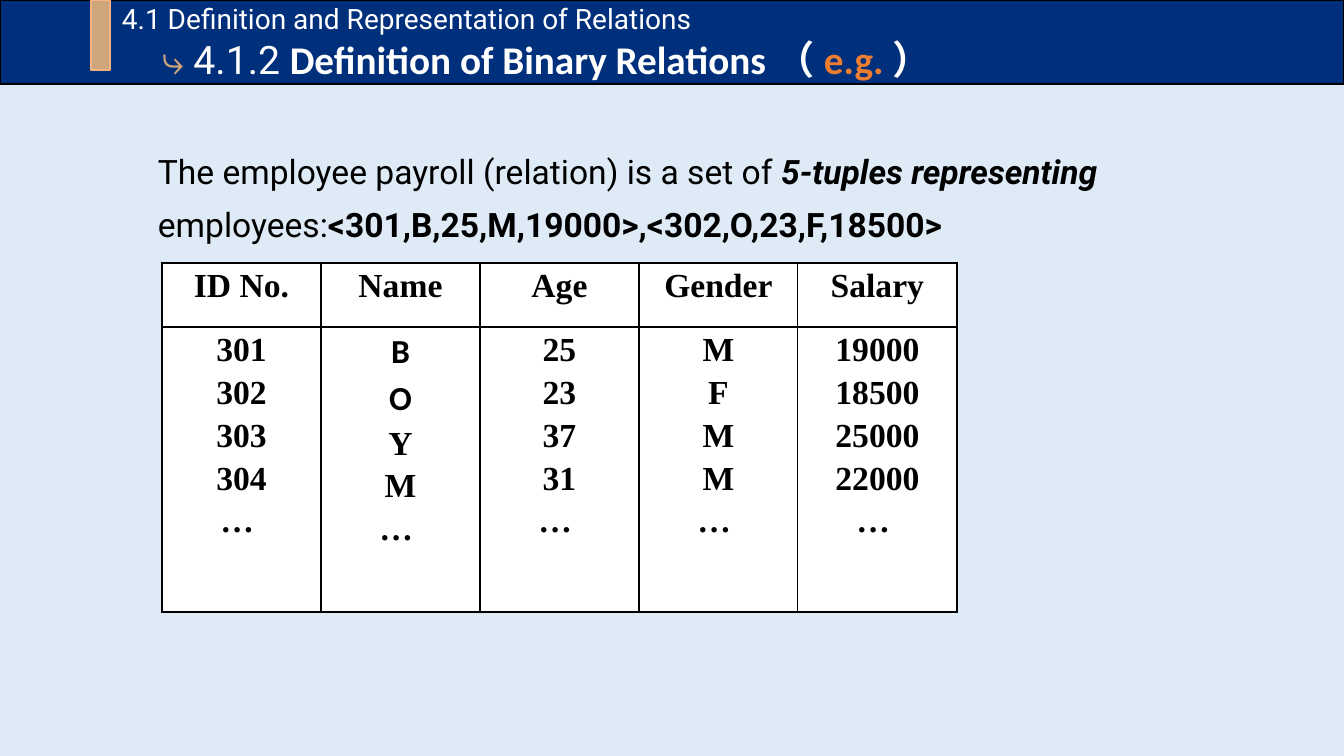
from pptx import Presentation
from pptx.dml.color import RGBColor
from pptx.enum.shapes import MSO_SHAPE
from pptx.enum.text import MSO_ANCHOR, PP_ALIGN
from pptx.oxml import parse_xml
from pptx.oxml.ns import nsdecls
from pptx.util import Pt
from dataclasses import dataclass


@dataclass(frozen=True)
class Theme:
    back: str = "DEEBF7"
    navy: str = "002F7C"
    tan: str = "CFA57C"
    peach: str = "F4B183"
    orange: str = "ED7D31"
    white: str = "FFFFFF"
    black: str = "000000"
    sans: str = "Roboto"
    bold: str = "Calibri"
    serif: str = "Times New Roman"
    small: int = 20
    body: int = 24
    title: int = 28


theme = Theme()
PX = 914400 / 100.8


def px(*vals):
    return [round(v * PX) for v in vals]


def style(font, name, size, color, bold=False, italic=False):
    font.name, font.size = name, Pt(size)
    font.bold, font.italic = bold, italic
    font.color.rgb = RGBColor.from_string(color)


deck = Presentation()
deck.slide_width, deck.slide_height = px(1344, 756)
slide = deck.slides.add_slide(deck.slide_layouts[6])
slide.background.fill.solid()
slide.background.fill.fore_color.rgb = RGBColor.from_string(theme.back)

# Header bar and accent
bars = []
for box, fill, line in [
    ((0, 0, 1344, 84), theme.navy, theme.black),
    ((91, 0, 19, 70), theme.tan, theme.peach),
]:
    bar = slide.shapes.add_shape(MSO_SHAPE.RECTANGLE, *px(*box))
    bar.shadow.inherit = False
    bar.fill.solid()
    bar.fill.fore_color.rgb = RGBColor.from_string(fill)
    bar.line.color.rgb = RGBColor.from_string(line)
    bar.line.width = Pt(1)
    bars.append(bar)

frame = bars[0].text_frame
frame.word_wrap = True
frame.vertical_anchor = MSO_ANCHOR.MIDDLE
head, title = frame.paragraphs[0], frame.add_paragraph()
for para, left in [(head, 112), (title, 152)]:
    para.alignment = PP_ALIGN.LEFT
    para._p.get_or_add_pPr().set("marL", str(px(left)[0]))
head.text = "4.1 Definition and Representation of Relations"
style(head.font, theme.sans, theme.small, theme.white)
for text, name, color, bold in [
    ("⤷ ", theme.sans, theme.tan, False),
    ("4.1.2 ", theme.sans, theme.white, False),
    ("Definition of Binary Relations（", theme.bold, theme.white, True),
    ("e.g.", theme.bold, theme.orange, True),
    ("）", theme.bold, theme.white, True),
]:
    run = title.add_run()
    run.text = text
    style(run.font, name, theme.title, color, bold)

# Introduction
frame = slide.shapes.add_textbox(*px(148, 138, 1024, 112)).text_frame
frame.word_wrap = True
intro = [
    ("The employee payroll (relation) is a set of ", "5-tuples representing", True),
    ("employees:", "<301,B,25,M,19000>,<302,O,23,F,18500>", False),
]
for i, (plain, strong, italic) in enumerate(intro):
    para = frame.add_paragraph() if i else frame.paragraphs[0]
    para.line_spacing = 1.2
    if i:
        para.space_before = Pt(3)
    for text, bold in [(plain, False), (strong, True)]:
        run = para.add_run()
        run.text = text
        style(run.font, theme.sans, theme.body, theme.black, bold, bold and italic)

# Payroll table
payroll = {
    "ID No.": ["301", "302", "303", "304", "… "],
    "Name": ["B", "O", "Y", "M", "… "],
    "Age": ["25", "23", "37", "31", "… "],
    "Gender": ["M", "F", "M", "M", "… "],
    "Salary": ["19000", "18500", "25000", "22000", "… "],
}
table = slide.shapes.add_table(2, 5, *px(162, 263, 795, 349)).table
table.first_row = table.horz_banding = False
table.rows[0].height, table.rows[1].height = px(64, 285)
for c, (label, vals) in enumerate(payroll.items()):
    table.columns[c].width = px(159)[0]
    for r, lines in enumerate([[label], vals]):
        cell = table.cell(r, c)
        cell.fill.solid()
        cell.fill.fore_color.rgb = RGBColor.from_string(theme.white)
        edges = {"lnL": c == 0, "lnR": c == 4, "lnT": r == 0, "lnB": r == 1}
        for i, (tag, outer) in enumerate(edges.items()):
            width = Pt(2.25 if outer else 1)
            cell._tc.get_or_add_tcPr().insert(i, parse_xml(
                f'<a:{tag} {nsdecls("a")} w="{width}"><a:solidFill>'
                f'<a:srgbClr val="{theme.black}"/></a:solidFill></a:{tag}>'))
        for i, text in enumerate(lines):
            para = cell.text_frame.add_paragraph() if i else cell.text_frame.paragraphs[0]
            para.text = text
            para.alignment = PP_ALIGN.CENTER
            if i:
                para.space_before = Pt(4)
            name = theme.bold if text in ("B", "O") else theme.serif
            style(para.font, name, theme.body, theme.black, True)

deck.save("out.pptx")
